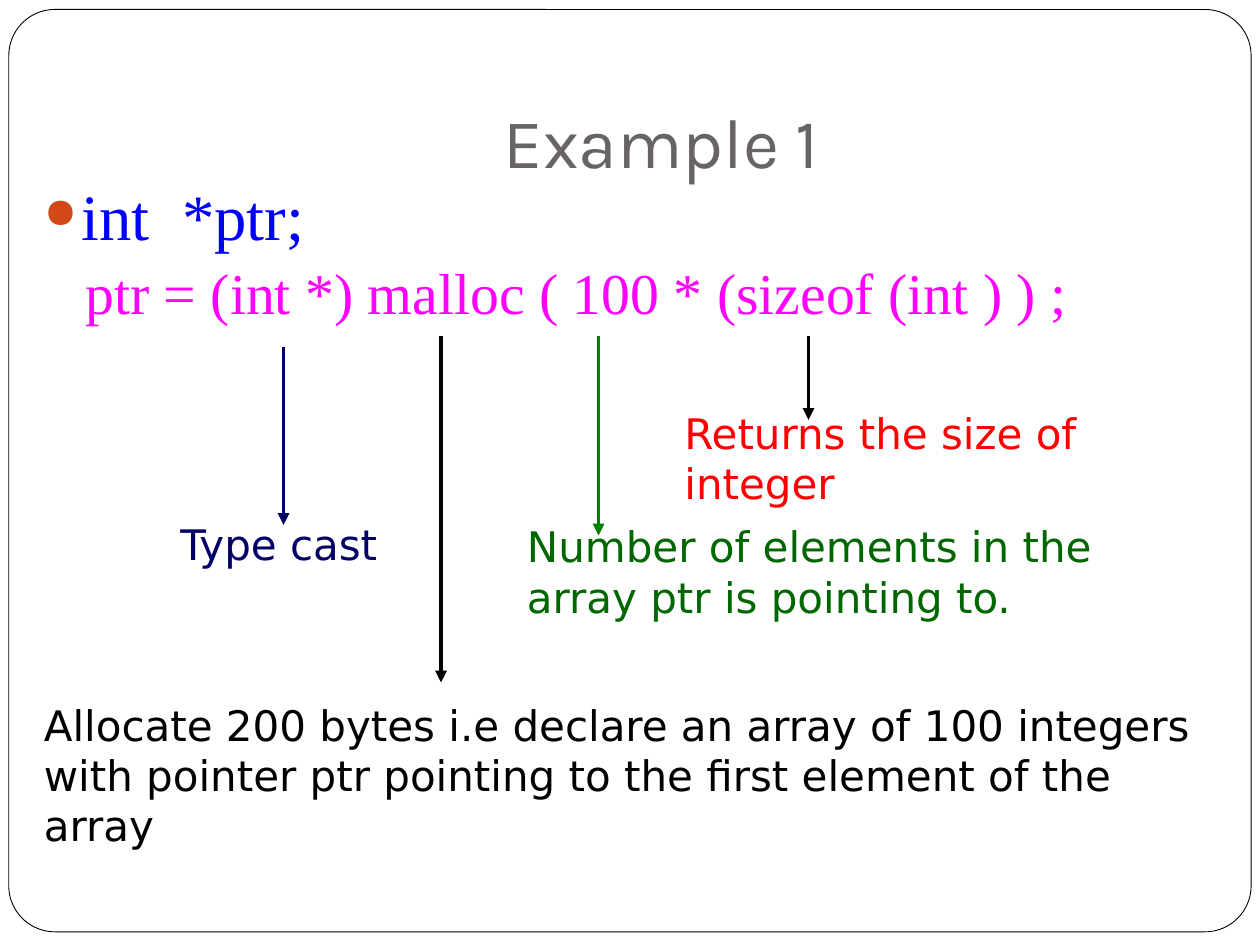
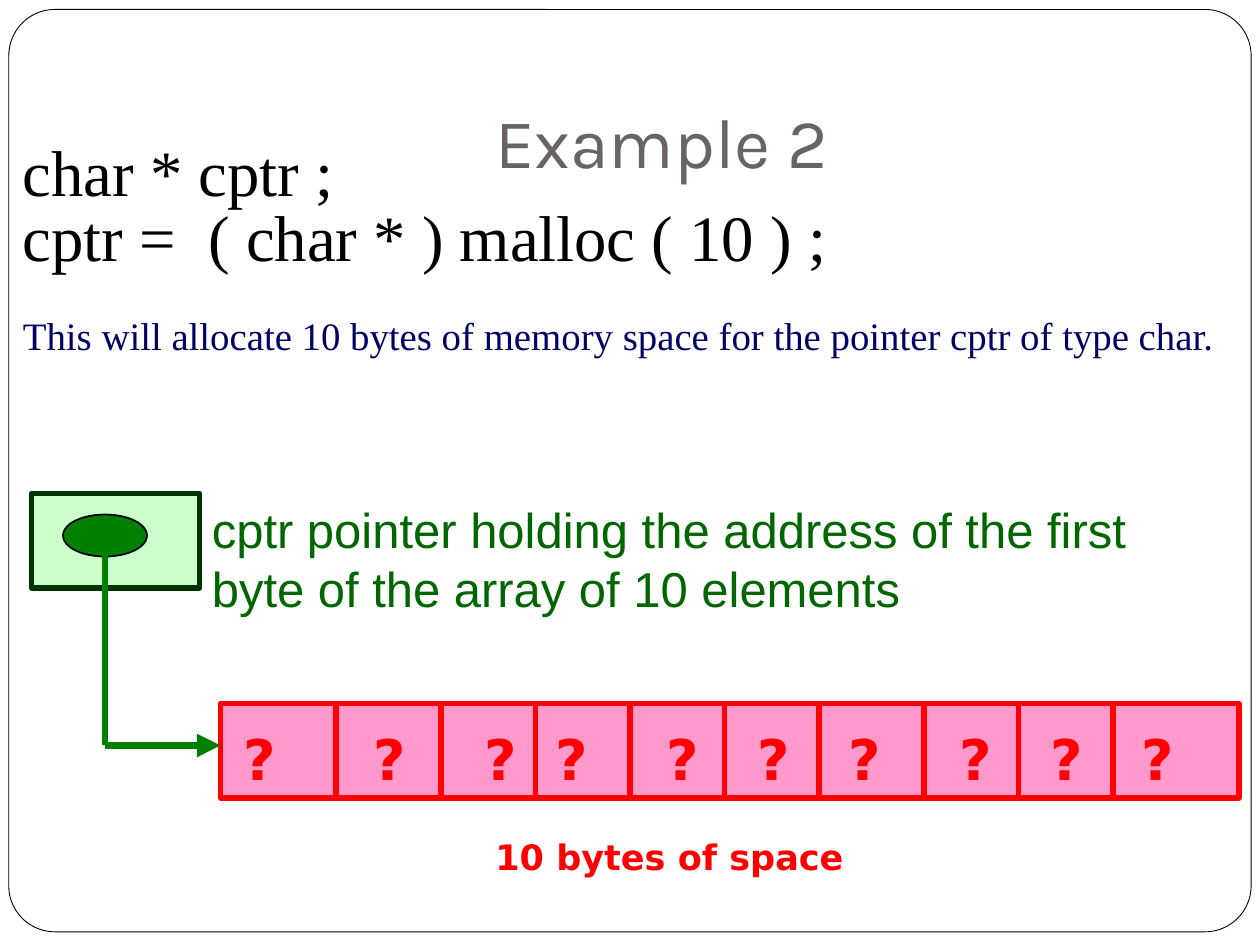
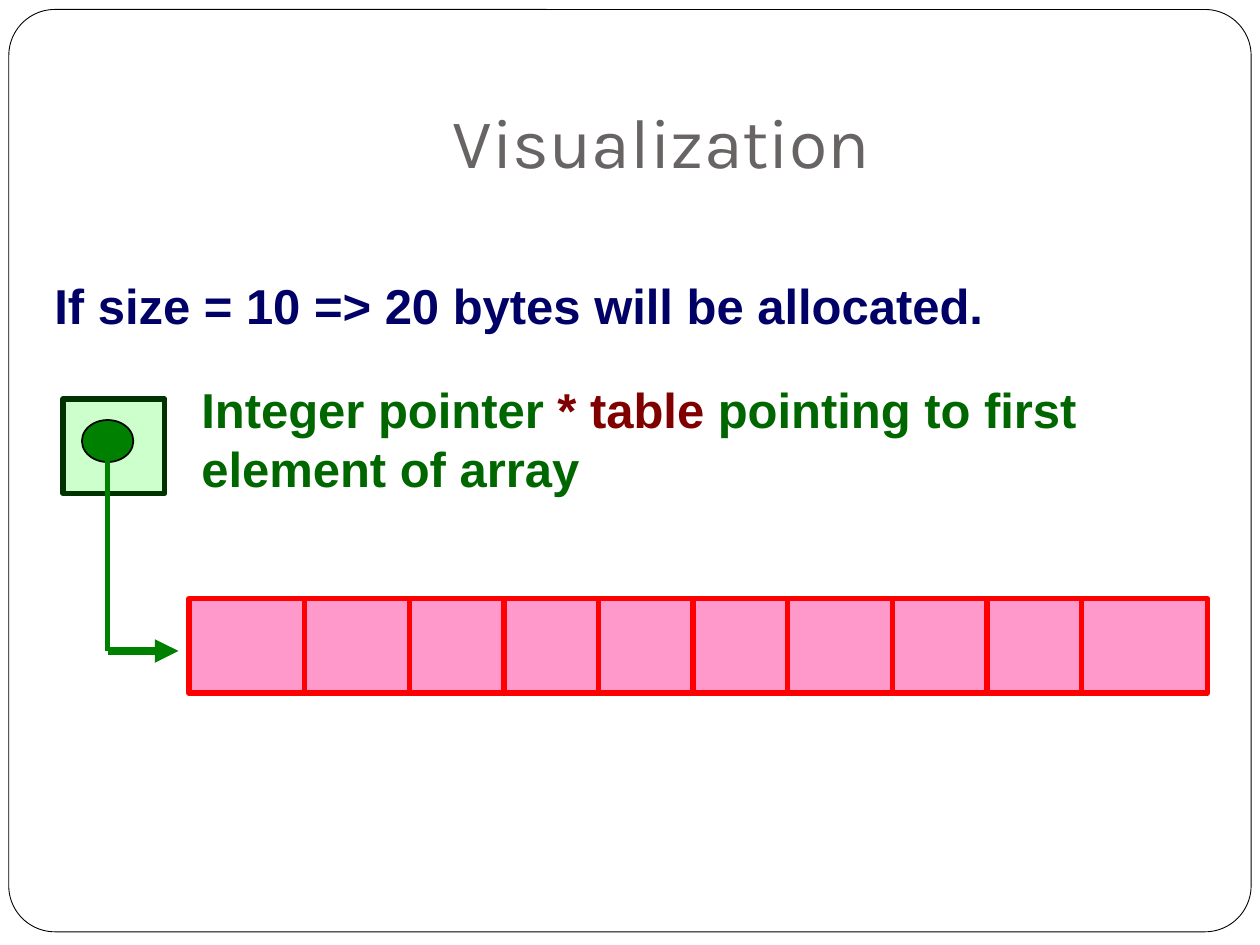
"""Build three slides on dynamic memory allocation with malloc."""
from dataclasses import dataclass
from itertools import accumulate
from typing import NamedTuple

import lxml.etree
import pptx
import pptx.dml.color
import pptx.enum.shapes
import pptx.enum.text
import pptx.oxml.ns
import pptx.util

WIDTH, HEIGHT = 10, 7.5
COLUMNS, ROWS = 120, 90
SANS, SERIF, PLAIN, HEADING = "DejaVu Sans", "Times New Roman", "Arial", "Karla"
BLACK, WHITE, GREY = "000000", "FFFFFF", "696464"
NAVY, BLUE, MAGENTA = "000066", "0000FF", "FF00FF"
RED, PINK, MAROON, ORANGE = "FF0000", "FF99CC", "800000", "D34817"
GREEN, DARK_GREEN, DEEP_GREEN, PALE_GREEN = "008000", "006600", "003300", "CCFFCC"
CELL_WIDTHS = (11, 10, 9, 9, 9, 9, 10, 9, 9, 12)
CELL_HEIGHT = 9
MARK_WIDTH, SPACE_WIDTH = 3.1, 1.86
MARK_GAPS = (5, 4, 2, 4, 3, 3, 4, 3, 3)
SHAPES = pptx.enum.shapes.MSO_SHAPE


class Area(NamedTuple):
    """A rectangle in grid columns and rows."""
    column: float
    row: float
    columns: float
    rows: float


class Span(NamedTuple):
    """A run of text with its look."""
    text: str
    size: float
    font: str
    color: str
    bold: bool = False


@dataclass(frozen=True)
class Para:
    """A paragraph with its spans, indents in inches and spacing in points."""
    spans: tuple[Span, ...]
    margin: float = 0
    hang: float = 0
    spacing: float = 1
    before: float = 0
    bullet: str = ""
    centred: bool = False


@dataclass(frozen=True)
class Arrow:
    """A line in grid units."""
    start: tuple[float, float]
    end: tuple[float, float]
    color: str
    weight: float = 2.25
    head: bool = True


@dataclass(frozen=True)
class Pointer:
    """A pointer box with a dot whose elbow arrow ends at the tip column."""
    column: float
    row: float
    columns: float
    dot_column: float
    dot_columns: float
    tip: float


def rgb(color: str) -> pptx.dml.color.RGBColor:
    """Turn a hex string into a colour."""
    return pptx.dml.color.RGBColor.from_string(color)


def across(columns: float) -> int:
    """Turn grid columns into a length."""
    return pptx.util.Inches(WIDTH * columns / COLUMNS)


def down(rows: float) -> int:
    """Turn grid rows into a length."""
    return pptx.util.Inches(HEIGHT * rows / ROWS)


def place(area: Area) -> tuple[int, int, int, int]:
    """Give the left, top, width and height of an area."""
    return across(area.column), down(area.row), across(area.columns), down(area.rows)


def add_child(parent, tag: str, **attributes: str):
    """Append a drawing element to a parent."""
    child = lxml.etree.SubElement(parent, pptx.oxml.ns.qn(tag))
    for name, value in attributes.items():
        child.set(name, value)
    return child


def draw_shape(page, kind, area: Area, fill: str, line: str, weight: float):
    """Draw a filled and outlined preset shape."""
    shape = page.shapes.add_shape(kind, *place(area))
    shape.shadow.inherit = False
    shape.fill.solid()
    shape.fill.fore_color.rgb = rgb(fill)
    shape.line.color.rgb = rgb(line)
    shape.line.width = pptx.util.Pt(weight)
    return shape


def draw_arrow(page, arrow: Arrow) -> None:
    """Draw a straight line, with a head if asked for."""
    (left, top), (right, bottom) = arrow.start, arrow.end
    connector = page.shapes.add_connector(
        pptx.enum.shapes.MSO_CONNECTOR.STRAIGHT,
        across(left), down(top), across(right), down(bottom))
    connector.line.color.rgb = rgb(arrow.color)
    connector.line.width = pptx.util.Pt(arrow.weight)
    if arrow.head:
        add_child(connector.line._get_or_add_ln(), "a:tailEnd", type="triangle")
    add_child(connector._element.spPr, "a:effectLst")


def write_para(para, content: Para) -> None:
    """Fill a paragraph with its settings and spans."""
    settings = para._p.get_or_add_pPr()
    settings.set("marL", str(pptx.util.Inches(content.margin)))
    settings.set("indent", str(pptx.util.Inches(-content.hang)))
    if content.bullet:
        add_child(add_child(settings, "a:buClr"), "a:srgbClr", val=ORANGE)
        add_child(settings, "a:buSzPct", val="65000")
        add_child(settings, "a:buChar", char=content.bullet)
    else:
        add_child(settings, "a:buNone")
    para.line_spacing = content.spacing
    para.space_before = pptx.util.Pt(content.before)
    if content.centred:
        para.alignment = pptx.enum.text.PP_ALIGN.CENTER
    for span in content.spans:
        run = para.add_run()
        run.text = span.text
        run.font.size = pptx.util.Pt(span.size)
        run.font.name = span.font
        run.font.bold = span.bold
        run.font.color.rgb = rgb(span.color)


def draw_text(page, area: Area, *paras: Para, grow: bool = False):
    """Draw a wrapping text box and return its frame."""
    frame = page.shapes.add_textbox(*place(area)).text_frame
    frame.word_wrap = True
    if grow:
        frame.auto_size = pptx.enum.text.MSO_AUTO_SIZE.SHAPE_TO_FIT_TEXT
    for index, content in enumerate(paras):
        write_para(frame.add_paragraph() if index else frame.paragraphs[0], content)
    return frame


def draw_note(page, area: Area, *spans: Span) -> None:
    """Draw a one-paragraph note that grows with its text."""
    draw_text(page, area, Para(spans), grow=True)


def add_page(deck, title: str):
    """Add a slide with the shared frame and title."""
    page = deck.slides.add_slide(deck.slide_layouts[6])
    border = draw_shape(page, SHAPES.ROUNDED_RECTANGLE,
                        Area(0.84, 0.9, 118.32, 87.84), WHITE, BLACK, 0.5)
    border.adjustments[0] = 0.05
    frame = draw_text(page, Area(12, 3.6, 102, 15),
                      Para((Span(title, 40, HEADING, GREY),), centred=True))
    frame.vertical_anchor = pptx.enum.text.MSO_ANCHOR.BOTTOM
    frame.margin_bottom = pptx.util.Inches(0.1)
    return page


def draw_cells(page, column: float, row: float) -> None:
    """Draw the strip of memory cells."""
    draw_shape(page, SHAPES.RECTANGLE,
               Area(column, row, sum(CELL_WIDTHS), CELL_HEIGHT), PINK, RED, 3)
    for offset in accumulate(CELL_WIDTHS[:-1]):
        edge = column + offset
        draw_arrow(page, Arrow((edge, row), (edge, row + CELL_HEIGHT), RED, 3, False))


def draw_marks(page, column: float, row: float) -> None:
    """Draw one question mark inside each memory cell."""
    steps = (MARK_WIDTH + SPACE_WIDTH * gap for gap in MARK_GAPS)
    for offset in accumulate(steps, initial=0):
        draw_note(page, Area(column + offset, row, 6, 7.7), Span("?", 32, SANS, RED, True))


def draw_pointer(page, pointer: Pointer) -> None:
    """Draw a pointer box, its dot and its elbow arrow."""
    draw_shape(page, SHAPES.RECTANGLE,
               Area(pointer.column, pointer.row, pointer.columns, 9),
               PALE_GREEN, DEEP_GREEN, 3)
    draw_shape(page, SHAPES.OVAL,
               Area(pointer.dot_column, pointer.row + 2, pointer.dot_columns, 4),
               GREEN, BLACK, 1)
    middle = pointer.dot_column + pointer.dot_columns / 2
    elbow = (middle, pointer.row + 24)
    draw_arrow(page, Arrow((middle, pointer.row + 4), elbow, GREEN, 3, False))
    draw_arrow(page, Arrow(elbow, (pointer.tip, elbow[1]), GREEN, 4.5))


def build_integer_example(deck) -> None:
    """Explain each part of an integer malloc call."""
    page = add_page(deck, "Example 1")
    draw_text(
        page, Area(3, 17, 113, 16),
        Para((Span("int  *ptr;", 37, SERIF, BLUE),), 0.3, 0.3, 0.9, bullet="●"),
        Para((Span("ptr = (int *) malloc ( 100 * (sizeof (int ) ) ;", 33, SERIF, MAGENTA),),
             margin=0.33, spacing=0.9, before=5.8))
    for arrow in (Arrow((42, 32), (42, 65), BLACK),
                  Arrow((57, 32), (57, 51), GREEN),
                  Arrow((77, 32), (77, 40), BLACK),
                  Arrow((27, 33), (27, 50), NAVY)):
        draw_arrow(page, arrow)
    notes = (
        (Area(3, 66, 114, 10.8), BLACK,
         "Allocate 200 bytes i.e declare an array of 100 integers with pointer ptr "
         "pointing to the first element of the array"),
        (Area(49, 49, 67, 10.8), DARK_GREEN,
         "Number of elements in the array ptr is pointing to."),
        (Area(64, 38.2, 55, 6), RED, "Returns the size of integer"),
        (Area(16, 48.8, 36, 6), NAVY, "Type cast"))
    for area, color, text in notes:
        draw_note(page, area, Span(text, 24, SANS, color))


def build_char_example(deck) -> None:
    """Show ten bytes allocated for a char pointer."""
    page = add_page(deck, "Example 2")
    lines = (("char * cptr ;", 37, BLACK, 0),
             ("cptr =  ( char * ) malloc ( 10 ) ;", 37, BLACK, 5.8),
             ("This will allocate 10 bytes of memory space for the pointer cptr of type char.",
              22.2, NAVY, 29.8))
    draw_text(page, Area(1, 14, 119, 26),
              *(Para((Span(text, size, SERIF, color),), 0.3, 0.3, 0.7, before)
                for text, size, color, before in lines))
    draw_cells(page, 21, 67)
    draw_note(page, Area(46, 79, 42, 5.3), Span("10 bytes of space", 20, SANS, RED, True))
    draw_pointer(page, Pointer(3, 47, 16, 6, 8, 21))
    draw_note(page, Area(19, 47, 96, 12.5),
              Span("cptr pointer holding the address of the first byte of the array "
                   "of 10 elements", 28, PLAIN, DARK_GREEN))
    draw_marks(page, 22, 68.4)


def build_visualization(deck) -> None:
    """Show an integer pointer and the array it points to."""
    page = add_page(deck, "Visualization")
    draw_cells(page, 18, 57)
    draw_note(page, Area(4, 25.6, 94, 6.8),
              Span("If size = 10 => 20 bytes will be allocated.", 28, PLAIN, NAVY, True))
    draw_pointer(page, Pointer(6, 38, 9.7, 7.8, 4.9, 17))
    draw_note(page, Area(18, 35.6, 102, 12.5),
              Span("Integer pointer ", 28, PLAIN, DARK_GREEN, True),
              Span("* table", 28, PLAIN, MAROON, True),
              Span(" pointing to first element of array", 28, PLAIN, DARK_GREEN, True))


def main() -> None:
    """Build and save the deck."""
    deck = pptx.Presentation()
    deck.slide_width = pptx.util.Inches(WIDTH)
    deck.slide_height = pptx.util.Inches(HEIGHT)
    build_integer_example(deck)
    build_char_example(deck)
    build_visualization(deck)
    deck.save("out.pptx")


if __name__ == "__main__":
    main()
